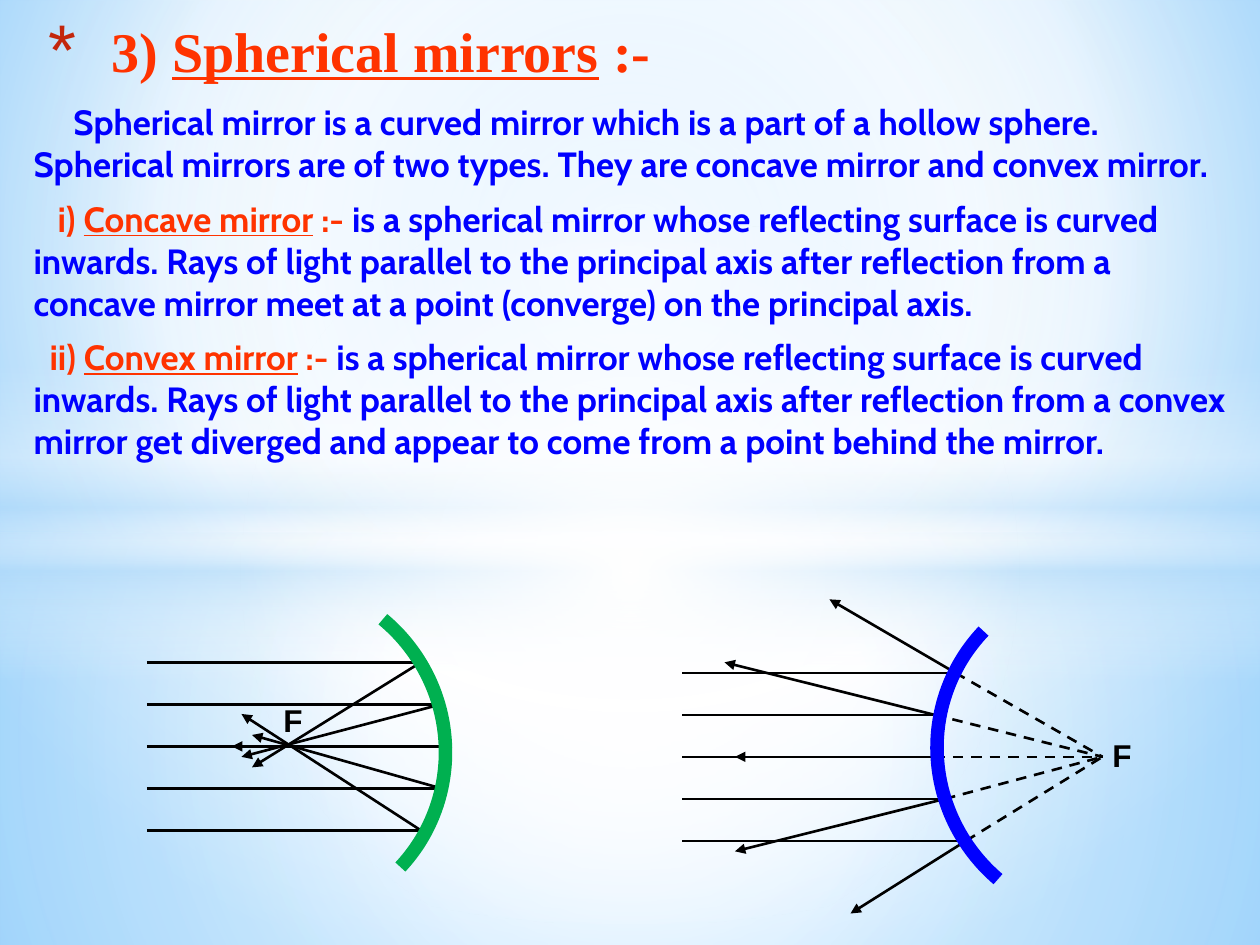
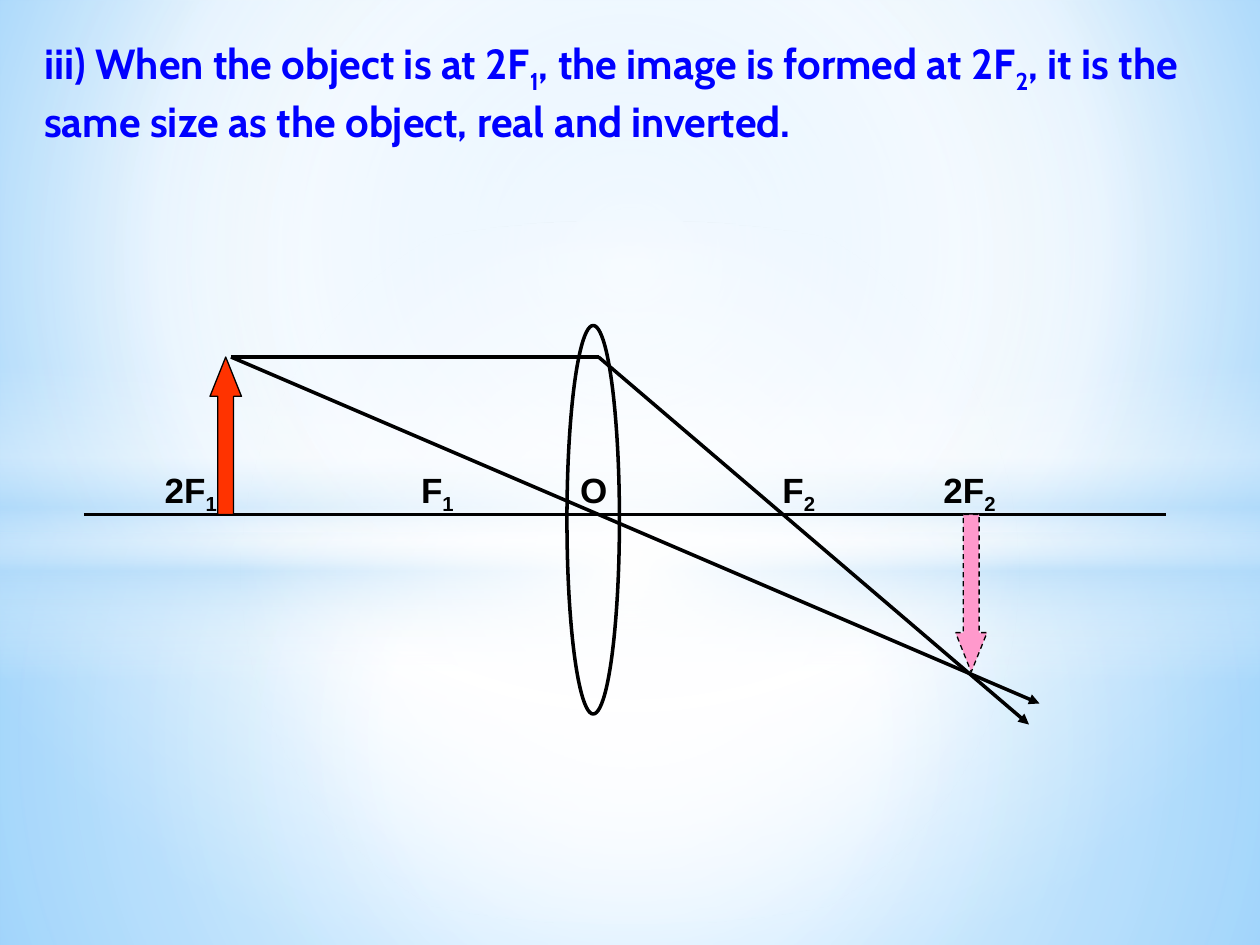
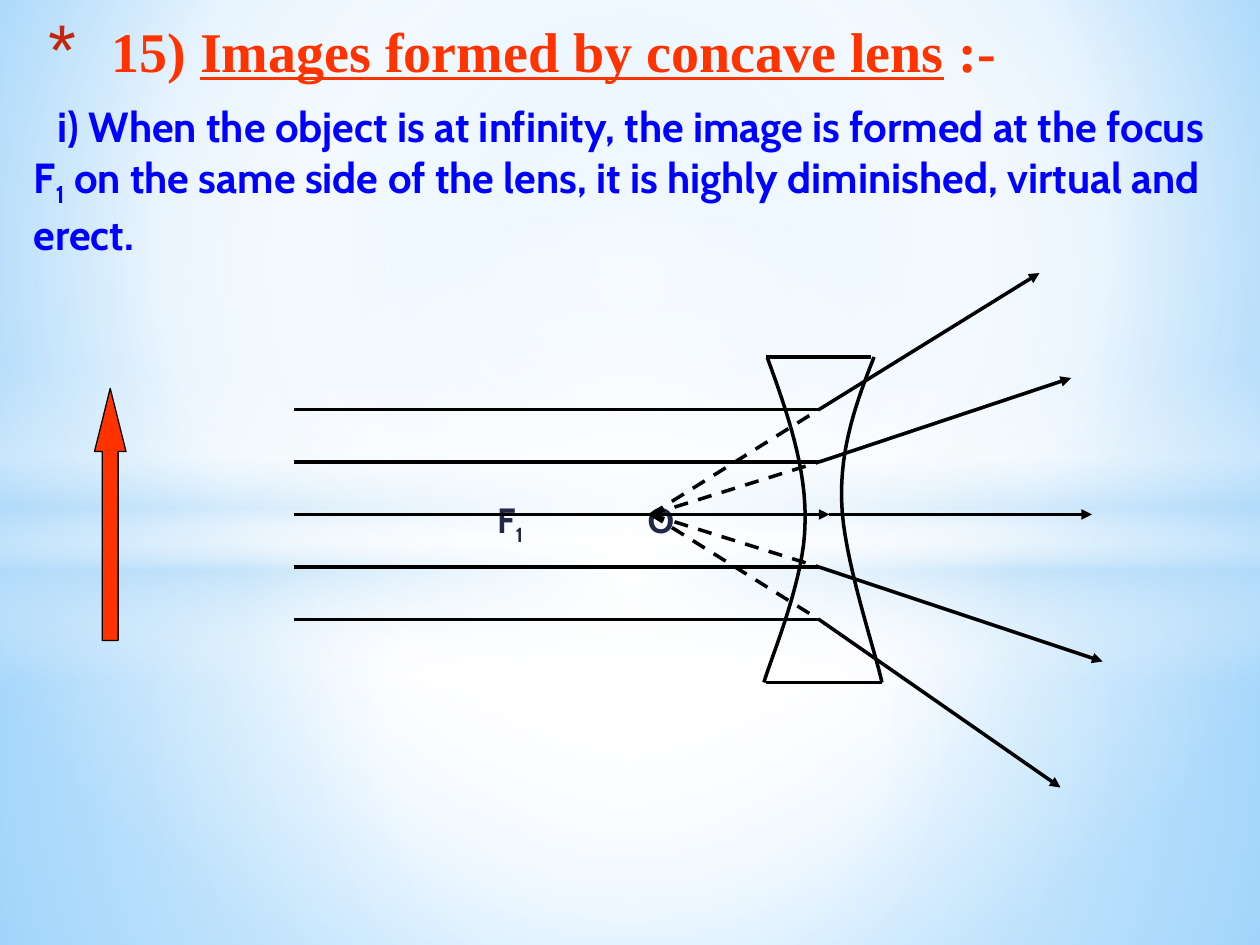
from typing import NamedTuple, Optional

from lxml.etree import SubElement
from pptx import Presentation
from pptx.dml.color import RGBColor
from pptx.enum.dml import MSO_LINE
from pptx.enum.shapes import MSO_CONNECTOR, MSO_SHAPE
from pptx.enum.text import MSO_ANCHOR, MSO_AUTO_SIZE, PP_ALIGN
from pptx.oxml.ns import qn
from pptx.util import Pt

BLACK = RGBColor(0x00, 0x00, 0x00)
WHITE = RGBColor(0xFF, 0xFF, 0xFF)
RED = RGBColor(0xFF, 0x33, 0x00)
BLUE = RGBColor(0x00, 0x00, 0xFF)
GREEN = RGBColor(0x00, 0xB0, 0x50)
PINK = RGBColor(0xFF, 0x99, 0xCC)
NAVY = RGBColor(0x21, 0x27, 0x45)
BULLET_RED = RGBColor(0xC3, 0x26, 0x0C)
SKY = RGBColor(0xB4, 0xDC, 0xFA)
SKY_LIGHT = RGBColor(0x9E, 0xD5, 0xFF)
SKY_DEEP = RGBColor(0x5B, 0xB9, 0xFF)

TITLE_FONT, BODY_FONT, LABEL_FONT = "Times New Roman", "Cabin", "Arial"
CENTRE = (50, 50, 50, 50)


class Span(NamedTuple):
    text: str
    color: RGBColor = BLUE
    underline: bool = False
    sub: bool = False


class Para(NamedTuple):
    spans: list[Span]
    size: float = 20
    indent: float = 0


class Stop(NamedTuple):
    pos: int
    color: RGBColor
    alpha: int = 100


class Panel(NamedTuple):
    kind: MSO_SHAPE
    box: tuple[float, ...]
    stops: list[Stop]
    focus: Optional[tuple[int, ...]] = CENTRE


class Ray(NamedTuple):
    """Where a parallel ray meets the mirror or lens, and where it then ends."""
    hit_x: float
    y: float
    tip: tuple[float, float]


BACKGROUND = [Stop(0, SKY_LIGHT), Stop(60, WHITE), Stop(100, SKY_DEEP)]
PANELS = [
    Panel(MSO_SHAPE.RECTANGLE, (0, 304.5, 720, 235.5),
          [Stop(0, WHITE, 91), Stop(37, WHITE, 76), Stop(100, SKY, 79)]),
    Panel(MSO_SHAPE.RECTANGLE, (0, 0, 720, 304.5),
          [Stop(0, WHITE, 89), Stop(48, WHITE, 62), Stop(100, SKY, 79)]),
    Panel(MSO_SHAPE.RECTANGLE, (0, 209, 720, 180),
          [Stop(0, WHITE, 0), Stop(29, WHITE, 30), Stop(45, SKY, 40),
           Stop(55, WHITE, 26), Stop(65, SKY, 60), Stop(100, WHITE, 0)], None),
    Panel(MSO_SHAPE.OVAL, (0, 126, 720, 402), [Stop(0, WHITE), Stop(54, WHITE, 0)]),
]


def set_gradient(props, stops: list[Stop], focus: Optional[tuple[int, ...]]) -> None:
    """Swap the solid fill in props for a circular gradient, or a vertical one without focus."""
    solid = props.find(qn("a:solidFill"))
    grad = SubElement(props, qn("a:gradFill"), rotWithShape="1")
    props.replace(solid, grad)
    stop_list = SubElement(grad, qn("a:gsLst"))
    for stop in stops:
        gs = SubElement(stop_list, qn("a:gs"), pos=str(stop.pos * 1000))
        clr = SubElement(gs, qn("a:srgbClr"), val=str(stop.color))
        if stop.alpha < 100:
            SubElement(clr, qn("a:alpha"), val=str(stop.alpha * 1000))
    if focus:
        circle = SubElement(grad, qn("a:path"), path="circle")
        sides = {side: str(v * 1000) for side, v in zip("ltrb", focus)}
        SubElement(circle, qn("a:fillToRect"), **sides)
    else:
        SubElement(grad, qn("a:lin"), ang="5400000", scaled="0")


def add_figure(s, kind, box, fill=None, line=None, width=2.0, dash=None, adj=(), rotation=0.0):
    sp = s.shapes.add_shape(kind, *map(Pt, box))
    sp.shadow.inherit = False
    for i, value in enumerate(adj):
        sp.adjustments[i] = value
    sp.rotation = rotation
    paint(sp, fill, line, width, dash)
    return sp


def paint(sp, fill, line, width, dash=None) -> None:
    if fill is None:
        sp.fill.background()
    else:
        sp.fill.solid()
        sp.fill.fore_color.rgb = fill
    if line is None:
        sp.line.fill.background()
    else:
        sp.line.color.rgb = line
        sp.line.width = Pt(width)
        if dash:
            sp.line.dash_style = dash


def add_line(s, start, end, width=2.0, dashed=False, arrow=False) -> None:
    cx = s.shapes.add_connector(MSO_CONNECTOR.STRAIGHT, *map(Pt, (*start, *end)))
    cx.line.color.rgb = BLACK
    cx.line.width = Pt(width)
    if dashed:
        cx.line.dash_style = MSO_LINE.DASH
    sp_pr = cx._element.spPr
    if arrow:
        SubElement(sp_pr.find(qn("a:ln")), qn("a:tailEnd"), type="triangle")
    SubElement(sp_pr, qn("a:effectLst"))


def add_curve(s, start, *beziers) -> None:
    """Draw joined cubic Bezier pieces as one fine open outline."""
    steps, points, p0 = 16, [], start
    for p1, p2, p3 in beziers:
        for i in range(1, steps + 1):
            t = i / steps
            weights = ((1 - t) ** 3, 3 * t * (1 - t) ** 2, 3 * t * t * (1 - t), t ** 3)
            points.append(tuple(Pt(sum(w * p[axis] for w, p in zip(weights, (p0, p1, p2, p3))))
                                for axis in (0, 1)))
        p0 = p3
    builder = s.shapes.build_freeform(*map(Pt, start))
    builder.add_line_segments(points, close=False)
    sp = builder.convert_to_shape()
    sp.shadow.inherit = False
    paint(sp, None, BLACK, 2)


def add_spans(p, spans: list[Span], font: str, size: float) -> None:
    for span in spans:
        r = p.add_run()
        r.text = span.text
        r.font.name, r.font.size, r.font.bold = font, Pt(size), True
        r.font.color.rgb = span.color
        if span.underline:
            r.font.underline = True
        if span.sub:
            r._r.get_or_add_rPr().set("baseline", "-25000")


def set_tabs(p, tabs: tuple[float, ...]) -> None:
    if tabs:
        tab_list = SubElement(p._p.get_or_add_pPr(), qn("a:tabLst"))
        for pos in tabs:
            SubElement(tab_list, qn("a:tab"), pos=str(Pt(pos)), algn="l")


def place(sp, box):
    """Move a placeholder and return its text frame, top-anchored and unfitted."""
    sp.left, sp.top, sp.width, sp.height = map(Pt, box)
    tf = sp.text_frame
    tf.word_wrap = True
    tf.auto_size = MSO_AUTO_SIZE.NONE
    tf.vertical_anchor = MSO_ANCHOR.TOP
    return tf


def set_title(s, box, number: str, words: str) -> None:
    p = place(s.shapes.title, box).paragraphs[0]
    p.alignment = PP_ALIGN.LEFT
    p_pr = p._p.get_or_add_pPr()
    p_pr.set("marL", str(Pt(50.4)))
    p_pr.set("indent", str(Pt(-36)))
    SubElement(SubElement(p_pr, qn("a:buClr")), qn("a:srgbClr"), val=str(BULLET_RED))
    SubElement(p_pr, qn("a:buSzPct"), val="128000")
    SubElement(p_pr, qn("a:buFont"), typeface=LABEL_FONT)
    SubElement(p_pr, qn("a:buChar"), char="*")
    spans = [Span(number, RED), Span(words, RED, underline=True), Span(" :-", RED)]
    add_spans(p, spans, TITLE_FONT, 32)


def set_body(s, box, paras: list[Para]) -> None:
    tf = place(s.placeholders[1], box)
    for i, para in enumerate(paras):
        p = tf.add_paragraph() if i else tf.paragraphs[0]
        p._p.get_or_add_pPr().set("indent", str(Pt(para.indent)))
        p.alignment = PP_ALIGN.LEFT
        p.space_before = Pt(4 if i else 0)
        p.space_after = Pt(3)
        add_spans(p, para.spans, BODY_FONT, para.size)


def add_label(s, box, spans: list[Span], size: float, font=LABEL_FONT, wrap=True, tabs=()) -> None:
    tf = s.shapes.add_textbox(*map(Pt, box)).text_frame
    tf.word_wrap = wrap
    set_tabs(tf.paragraphs[0], tabs)
    add_spans(tf.paragraphs[0], spans, font, size)


def dress_master(prs, s) -> None:
    """Draw the backdrop on s, then move it behind everything on the master."""
    master = prs.slide_master
    master.background.fill.solid()
    set_gradient(next(master.element.iter(qn("p:bgPr"))), BACKGROUND, (20, 10, 20, 60))
    for i, panel in enumerate(PANELS):
        sp = add_figure(s, panel.kind, panel.box, WHITE)
        set_gradient(sp._element.spPr, panel.stops, panel.focus)
        master.shapes.element.insert(2 + i, sp._element)


def mirrors_slide(s) -> None:
    set_body(s, (12, 54, 696, 480), [
        Para([Span("Spherical mirror is a curved mirror which is a part of a hollow sphere. "
                   "Spherical mirrors are of two types. They are concave mirror and convex mirror.")],
             indent=22.8),
        Para([Span("i) ", RED), Span("Concave mirror", RED, underline=True), Span(" :- ", RED),
              Span("is a spherical mirror whose reflecting surface is curved inwards. Rays of light "
                   "parallel to the principal axis after reflection from a concave mirror meet at a "
                   "point (converge) on the principal axis.")], indent=13.7),
        Para([Span("ii) ", RED), Span("Convex mirror", RED, underline=True), Span(" :-", RED),
              Span(" is a spherical mirror whose reflecting surface is curved inwards. Rays of light "
                   "parallel to the principal axis after reflection from a convex mirror get diverged "
                   "and appear to come from a point behind the mirror.")], indent=9.1),
    ])
    set_title(s, (6, 6, 612, 42), "3) ", "Spherical mirrors")

    concave = [Ray(240.5, 378.5, (144, 438.5)), Ray(252, 402.5, (138, 432.5)),
               Ray(258.5, 426.5, (132.5, 426.5)), Ray(252, 450.5, (144, 420)),
               Ray(240.5, 474.5, (138, 408))]
    convex = [Ray(546, 384.5, (474, 342.5)), Ray(534, 408.5, (414, 378.5)),
              Ray(534, 432.5, (420, 432.5)), Ray(540, 456.5, (420, 486.5)),
              Ray(552, 480.5, (486, 522))]
    for rays, source_x in ((concave, 84), (convex, 390)):
        for ray in rays:
            add_line(s, (source_x, ray.y), (ray.hit_x, ray.y), 1.5)
            add_line(s, (ray.hit_x, ray.y), ray.tip, 1.5, arrow=True)
    for ray in convex:
        add_line(s, (ray.hit_x, ray.y), (630, 432.5), 1.5, dashed=True)

    for left, top in ((154.8, 397), (628.6, 417)):
        add_label(s, (left, top, 25, 29), [Span("F", BLACK)], 18, wrap=False)
    for left, color, rotation in ((57, GREEN, 31.3), (535, BLUE, 212)):
        add_figure(s, MSO_SHAPE.ARC, (left, 331, 198, 195), line=color, width=7.75,
                   adj=(167.27, 6.79), rotation=rotation)


def convex_lens_slide(s) -> None:
    title = s.shapes.title._element
    title.getparent().remove(title)
    set_body(s, (18, 18, 684, 492), [
        Para([Span("iii) When the object is at 2F"), Span("1", sub=True),
              Span(", the image is formed at 2F"), Span("2", sub=True),
              Span(", it is the same size as the object, real and inverted.")], size=24)])

    axis_y, top_y = 294, 204
    add_figure(s, MSO_SHAPE.OVAL, (324, 186, 30, 222), line=BLACK)
    add_line(s, (48, axis_y), (666, axis_y))
    add_label(s, (48, 264, 588, 31),
              [Span("\t2F", BLACK), Span("1", BLACK, sub=True),
               Span("\tF", BLACK), Span("1", BLACK, sub=True),
               Span("\tO\tF", BLACK), Span("2", BLACK, sub=True),
               Span("\t2F", BLACK), Span("2", BLACK, sub=True)],
              20, tabs=(39, 185.5, 276.5, 392, 484))
    add_figure(s, MSO_SHAPE.UP_ARROW, (120, top_y, 18, 90), RED, BLACK, 0.75, adj=(0.5, 1.25))
    add_line(s, (132, top_y), (342, top_y))
    add_line(s, (342, top_y), (588, 414), arrow=True)
    add_figure(s, MSO_SHAPE.DOWN_ARROW, (546, axis_y, 18, 90), PINK, BLACK, 0.75,
               dash=MSO_LINE.DASH, adj=(0.5, 1.25))
    add_line(s, (132, top_y), (594, 402), arrow=True)


def concave_lens_slide(s) -> None:
    set_body(s, (12, 54, 696, 462), [
        Para([Span("i) When the object is at infinity, the image is formed at the focus F"),
              Span("1", sub=True),
              Span(" on the same side of the lens, it is highly diminished, virtual and erect.")],
             size=24, indent=13.7)])
    set_title(s, (6, 6, 612, 54), "15) ", "Images formed by concave lens")
    for left, spans in ((277, [Span("F", NAVY), Span("1", NAVY, sub=True)]),
                        (363, [Span("O", NAVY)])):
        add_label(s, (left, 281.5, 40, 32), spans, 20, BODY_FONT)

    add_curve(s, (438.5, 204.5), ((450, 236), (461, 268), (460, 299)),
              ((460, 330), (441, 375), (436.5, 390)))
    add_curve(s, (499.5, 204), ((489.5, 229.5), (480, 255.5), (481, 286.5)),
              ((481.5, 317.5), (500.5, 373), (504, 390)))
    add_line(s, (438, 390), (504, 390))
    add_line(s, (438, 204), (498, 204))

    source_x, lens_x, focus = 168, 468, (372, 294)
    tips = [(594, 156), (612, 216), None, (630, 378), (606, 450)]
    for i, tip in enumerate(tips):
        y = 234 + 30 * i
        if tip is None:
            add_line(s, (source_x, y), (474, y), arrow=True)
            add_line(s, (474, y), (624, y), arrow=True)
            continue
        ray = Ray(lens_x, y, tip)
        add_line(s, (source_x, y), (ray.hit_x, y))
        add_line(s, focus, (ray.hit_x, y), dashed=True)
        add_line(s, (ray.hit_x, y), ray.tip, arrow=True)
    add_figure(s, MSO_SHAPE.UP_ARROW, (54, 222, 18, 144), RED, BLACK, 0.75, adj=(0.5, 2))


def main() -> None:
    prs = Presentation()
    prs.slide_width, prs.slide_height = Pt(720), Pt(540)
    builders = (mirrors_slide, convex_lens_slide, concave_lens_slide)
    slides = [prs.slides.add_slide(prs.slide_layouts[0]) for _ in builders]
    dress_master(prs, slides[0])
    for build, s in zip(builders, slides):
        build(s)
    prs.save("out.pptx")


if __name__ == "__main__":
    main()
